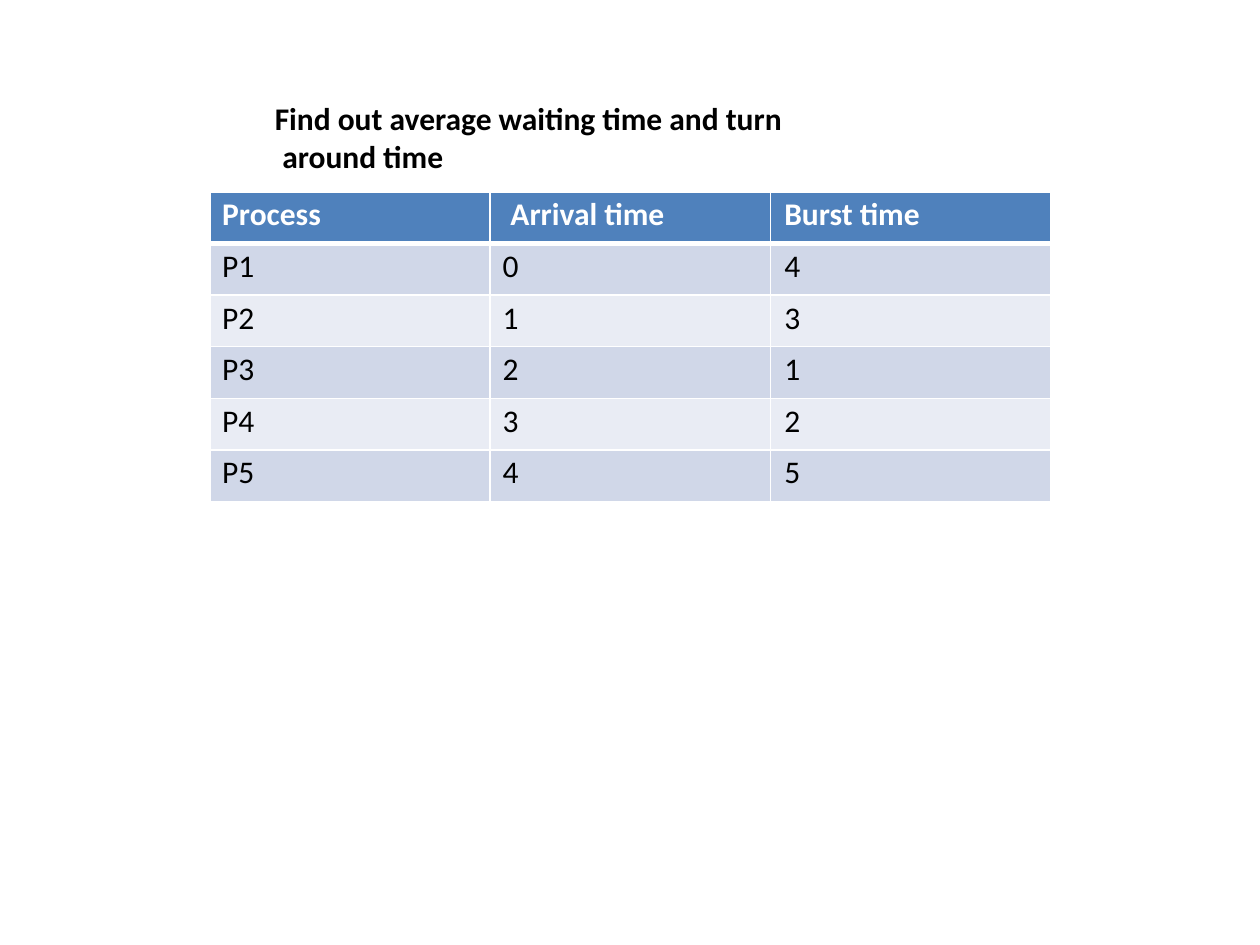
import pptx
import pptx.util
import pptx.dml.color
import pptx.enum.text
import pptx.oxml.ns
from lxml import etree

Cm, Pt = pptx.util.Cm, pptx.util.Pt
RGB = pptx.dml.color.RGBColor.from_string
COLORS = {"text": "000000", "white": "FFFFFF", "header": "4F81BC",
          "odd": "D0D7E8", "even": "E9ECF4"}


def add_run(p, text, color, bold):
    r = p.add_run()
    r.text = text
    r.font.name = "Calibri"
    r.font.size = Pt(18)
    r.font.bold = bold
    r.font.color.rgb = RGB(COLORS[color])


def set_border(cell, side, width):
    tag = pptx.oxml.ns.qn
    ln = etree.Element(tag(f"a:ln{side}"), w=str(Pt(width)))
    fill = etree.SubElement(ln, tag("a:solidFill"))
    etree.SubElement(fill, tag("a:srgbClr"), val=COLORS["white"])
    return ln


prs = pptx.Presentation()
prs.slide_width, prs.slide_height = Cm(25.4), Cm(19.05)
s = prs.slides.add_slide(prs.slide_layouts[5])

# Title, with the wrapped line slightly indented
sp = s.shapes.title
sp.left, sp.top, sp.width, sp.height = Cm(5.51), Cm(1.96), Cm(10.29), Cm(1.6)
tf = sp.text_frame
tf.word_wrap = True
tf.auto_size = pptx.enum.text.MSO_AUTO_SIZE.SHAPE_TO_FIT_TEXT
tf.vertical_anchor = pptx.enum.text.MSO_ANCHOR.TOP
tf.margin_left = tf.margin_right = tf.margin_bottom = 0
tf.margin_top = Cm(0.03)
p = tf.paragraphs[0]
p.alignment = pptx.enum.text.PP_ALIGN.LEFT
p.line_spacing = 1.01
pPr = p._p.get_or_add_pPr()
pPr.set("marL", str(Cm(0.18)))
pPr.set("indent", str(Cm(-0.15)))
add_run(p, "Find out average waiting time and turn around time", "text", True)

# Process table
rows = [("Process", "Arrival time", "Burst time"),
        ("P1", "0", "4"), ("P2", "1", "3"), ("P3", "2", "1"),
        ("P4", "3", "2"), ("P5", "4", "5")]
col_w, row_h = Cm(5.65), Cm(1.04)
tbl = s.shapes.add_table(len(rows), 3, Cm(4.23), Cm(3.87),
                         col_w * 3, row_h * len(rows)).table
for col in tbl.columns:
    col.width = col_w
for i, row in enumerate(rows):
    tbl.rows[i].height = row_h
    header = i == 0
    fill = "header" if header else "odd" if i % 2 else "even"
    for j, text in enumerate(row):
        cell = tbl.cell(i, j)
        cell.margin_left = Cm(0.41 if header and j == 1 else (0.25, 0.25, 0.28)[j])
        cell.margin_right = cell.margin_bottom = 0
        cell.margin_top = Cm(0.08)
        cell.fill.solid()
        cell.fill.fore_color.rgb = RGB(COLORS[fill])
        add_run(cell.text_frame.paragraphs[0], text,
                "white" if header else "text", header)
        # White grid, thicker under the header
        widths = {"L": 1, "R": 1, "T": 3 if i == 1 else 1, "B": 3 if header else 1}
        for k, (side, width) in enumerate(widths.items()):
            cell._tc.get_or_add_tcPr().insert(k, set_border(cell, side, width))

prs.save("out.pptx")
